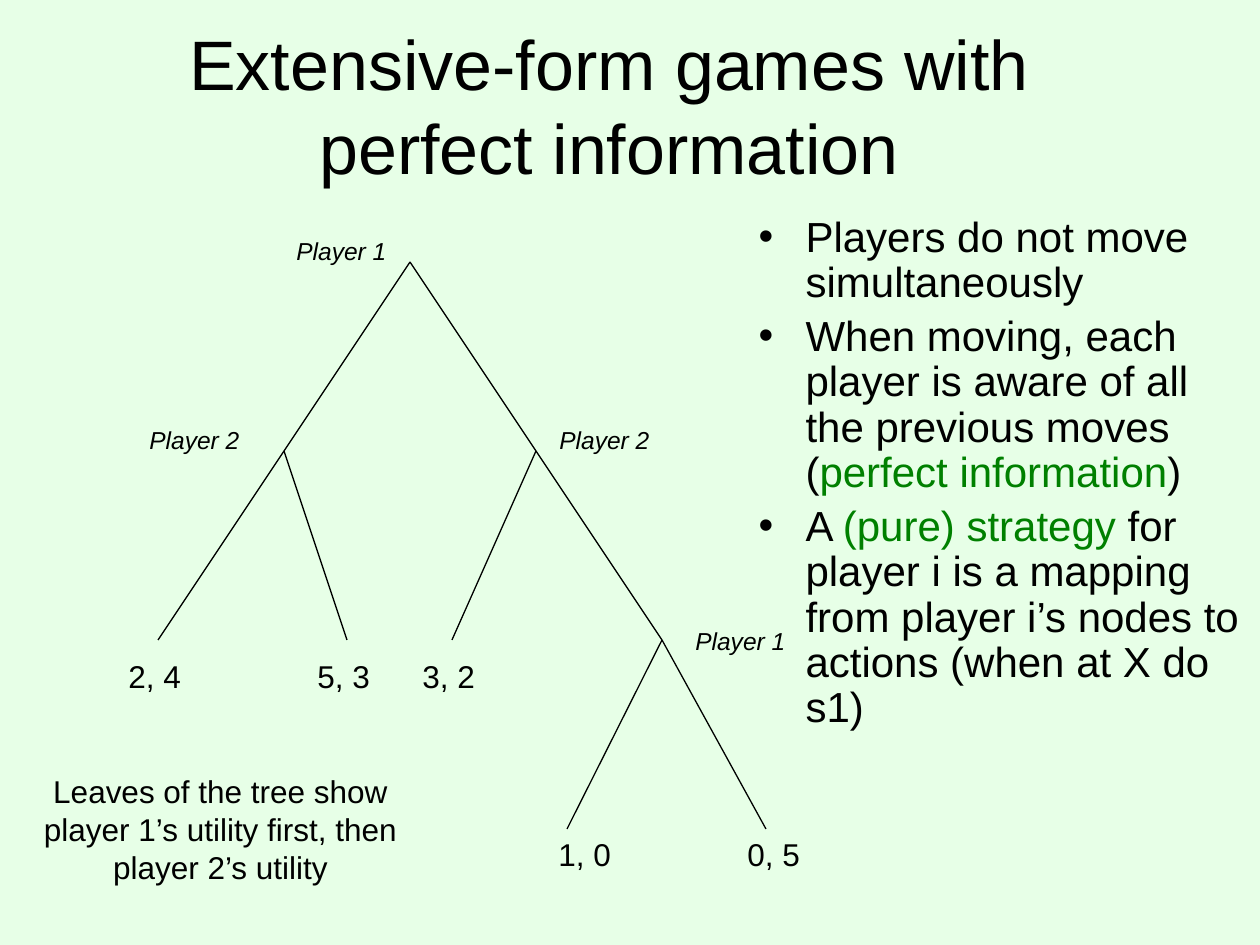
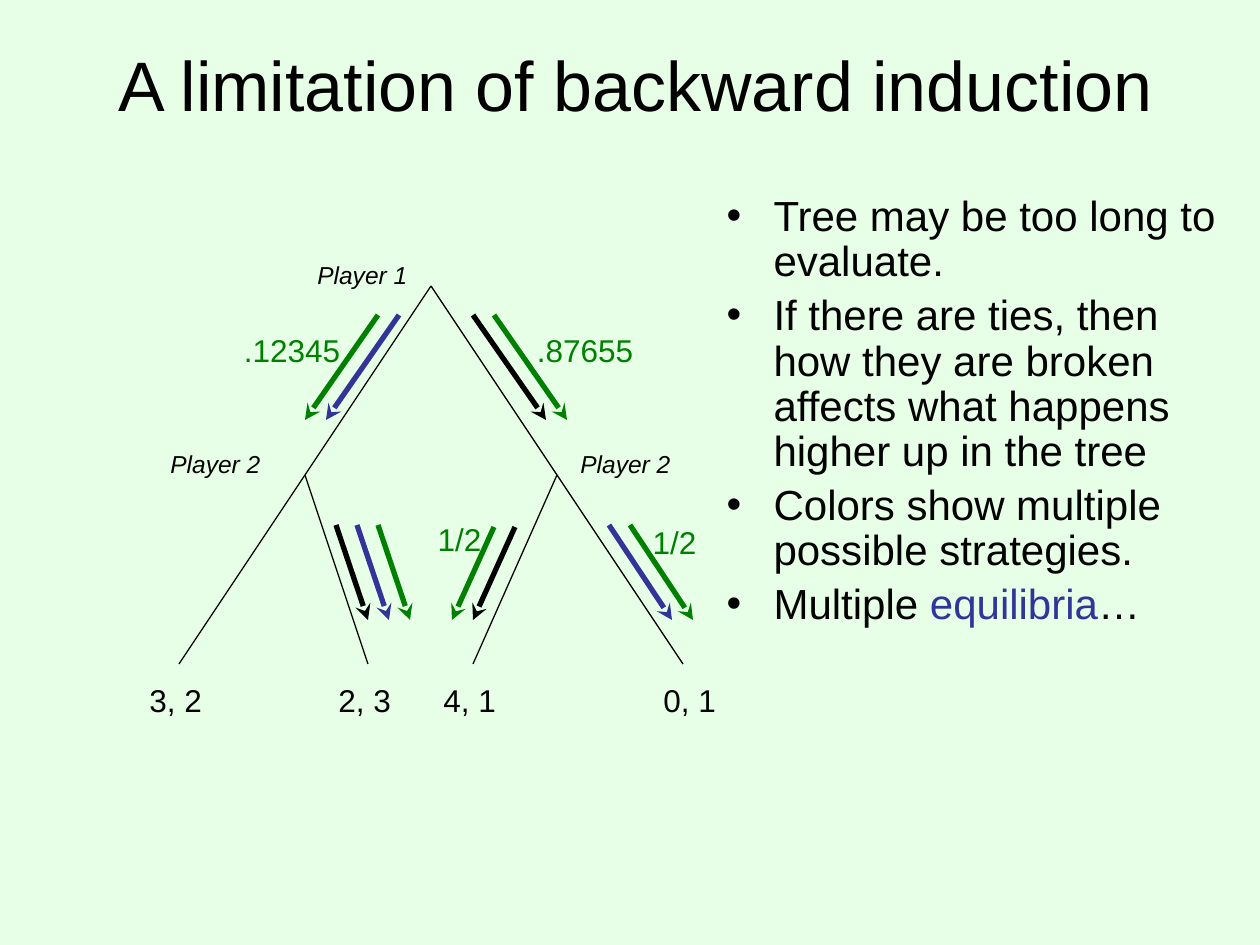
from lxml import etree
from pptx import Presentation
from pptx.dml.color import RGBColor
from pptx.enum.shapes import MSO_CONNECTOR
from pptx.enum.text import MSO_ANCHOR, MSO_AUTO_SIZE, PP_ALIGN
from pptx.oxml.ns import qn
from pptx.util import Emu, Pt

STRAIGHT = MSO_CONNECTOR.STRAIGHT
LEFT, CENTER = PP_ALIGN.LEFT, PP_ALIGN.CENTER
TOP, MIDDLE = MSO_ANCHOR.TOP, MSO_ANCHOR.MIDDLE
NO_AUTOFIT = MSO_AUTO_SIZE.NONE

PIXELS_PER_INCH = 126
EMU_PER_PIXEL = 914400 / PIXELS_PER_INCH
FONT = "Arial"
MINT = "E7FFE7"
BLACK = "000000"
GREEN = "008000"
BLUE = "333399"

LABEL_WIDTH = 126
BULLET_INDENT = 47
ARROW_GAP = 21
LEVEL_HEIGHT = 189
PLAYER_LABELS = [("Player 1", -126, -32), ("Player 2", -273, 157), ("Player 2", 137, 157)]
LEAF_OFFSETS = [-252, -63, 42, 252]


def px(value):
    return Emu(round(value * EMU_PER_PIXEL))


def color(hex_string):
    return RGBColor.from_string(hex_string)


def place(shape, left, top, width, height):
    shape.left, shape.top = px(left), px(top)
    shape.width, shape.height = px(width), px(height)


def add_run(paragraph, text, size=18, fill=BLACK, italic=False):
    run = paragraph.add_run()
    run.text = text
    run.font.name = FONT
    run.font.size = Pt(size)
    run.font.italic = italic
    run.font.color.rgb = color(fill)


def add_text(slide, text, left, top, width=LABEL_WIDTH, height=50, align=LEFT, wrap=True, **run_format):
    box = slide.shapes.add_textbox(px(left), px(top), px(width), px(height))
    box.text_frame.word_wrap = wrap
    paragraph = box.text_frame.paragraphs[0]
    paragraph.alignment = align
    add_run(paragraph, text, **run_format)


def add_player(slide, text, left, top):
    add_text(slide, text, left, top, height=42, size=14, italic=True)


def add_line(slide, start, end, fill=BLACK, width=0.75, arrow=False):
    connector = slide.shapes.add_connector(STRAIGHT, *map(px, start + end))
    connector.line.color.rgb = color(fill)
    connector.line.width = Pt(width)
    properties = connector._element.spPr
    if arrow:
        etree.SubElement(properties.find(qn("a:ln")), qn("a:tailEnd"), type="stealth")
    etree.SubElement(properties, qn("a:effectLst"))


def add_arrows(slide, left, top, run, rise, fills):
    for index, fill in enumerate(fills):
        x = left + index * ARROW_GAP
        add_line(slide, (x, top), (x + run, top + rise), fill=fill, width=3, arrow=True)


def add_title(slide, text, *bounds):
    title = slide.shapes.title
    place(title, *bounds)
    frame = title.text_frame
    frame.auto_size = NO_AUTOFIT
    frame.vertical_anchor = MIDDLE
    paragraph = frame.paragraphs[0]
    paragraph.alignment = CENTER
    add_run(paragraph, text, size=40)


def add_bullets(slide, bullets, *bounds):
    body = slide.placeholders[1]
    place(body, *bounds)
    frame = body.text_frame
    frame.auto_size = NO_AUTOFIT
    frame.vertical_anchor = TOP
    for index, runs in enumerate(bullets):
        paragraph = frame.add_paragraph() if index else frame.paragraphs[0]
        paragraph.line_spacing = 0.9
        paragraph.space_before = Pt(4.8 if index else 0)
        properties = paragraph._p.get_or_add_pPr()
        properties.set("marL", str(px(BULLET_INDENT)))
        properties.set("indent", str(-px(BULLET_INDENT)))
        etree.SubElement(properties, qn("a:buChar"), char="•")
        for text, fill in runs:
            add_run(paragraph, text, size=24, fill=fill)


def add_tree(slide, root, payoffs):
    x, y = root
    leaf_top = y + 2 * LEVEL_HEIGHT
    for side, leaves in ((-126, LEAF_OFFSETS[:2]), (126, LEAF_OFFSETS[2:])):
        node = (x + side, y + LEVEL_HEIGHT)
        add_line(slide, root, node)
        for leaf in leaves:
            add_line(slide, node, (x + leaf, leaf_top))
    for text, left, top in PLAYER_LABELS:
        add_player(slide, text, x + left, y + top)
    for payoff, leaf in zip(payoffs, LEAF_OFFSETS):
        add_text(slide, payoff, x + leaf - 42, leaf_top + 11)


def build_extensive_form(slide):
    add_title(slide, "Extensive-form games with perfect information", 105, 53, 1008, 103)
    add_tree(slide, (410, 262), ["2, 4", "5, 3", "3, 2"])
    last_node = (662, 640)
    add_player(slide, "Player 1", 683, 620)
    for payoff, leaf_left, label_left in (("1, 0", 567, 546), ("0, 5", 766, 735)):
        add_line(slide, last_node, (leaf_left, 829))
        add_text(slide, payoff, label_left, 829)
    add_bullets(slide, [
        [("Players do not move simultaneously", BLACK)],
        [("When moving, each player is aware of all the previous moves (", BLACK),
         ("perfect information", GREEN), (")", BLACK)],
        [("A ", BLACK), ("(pure) strategy", GREEN),
         (" for player i is a mapping from player i’s nodes to actions (when at X do s1)", BLACK)],
    ], 746, 210, 525, 693)
    add_text(slide, "Leaves of the tree show player 1’s utility first, then player 2’s utility",
             0, 766, width=441, height=126, align=CENTER)


def build_backward_induction(slide):
    add_title(slide, "A limitation of backward induction", 95, 32, 1081, 103)
    add_tree(slide, (431, 286), ["3, 2", "2, 3", "4, 1"])
    add_text(slide, "0, 1", 651, 675)
    add_bullets(slide, [
        [("Tree may be too long to evaluate.", BLACK)],
        [("If there are ties, then how they are broken affects what happens higher up in the tree", BLACK)],
        [("Colors show multiple possible strategies.", BLACK)],
        [("Multiple ", BLACK), ("equilibria", BLUE), ("…", BLACK)],
    ], 714, 189, 525, 693)
    add_arrows(slide, 378, 315, -73, 105, [GREEN, BLUE])
    add_arrows(slide, 473, 315, 73, 105, [BLACK, GREEN])
    add_arrows(slide, 336, 525, 32, 95, [BLACK, BLUE, GREEN])
    add_arrows(slide, 494, 527, -42, 93, [GREEN, BLACK])
    add_arrows(slide, 609, 525, 63, 95, [BLUE, GREEN])
    for text, left, top, width in (
        (".12345", 231, 325, 122), (".87655", 524, 325, 122),
        ("1/2", 425, 514, 69), ("1/2", 640, 517, 69),
    ):
        add_text(slide, text, left, top, width=width, align=CENTER, wrap=False, fill=GREEN)


def main():
    presentation = Presentation()
    presentation.slide_width, presentation.slide_height = px(1260), px(945)
    background = presentation.slide_master.background.fill
    background.solid()
    background.fore_color.rgb = color(MINT)
    layout = presentation.slide_layouts[1]
    for build in (build_extensive_form, build_backward_induction):
        build(presentation.slides.add_slide(layout))
    presentation.save("out.pptx")


if __name__ == "__main__":
    main()
